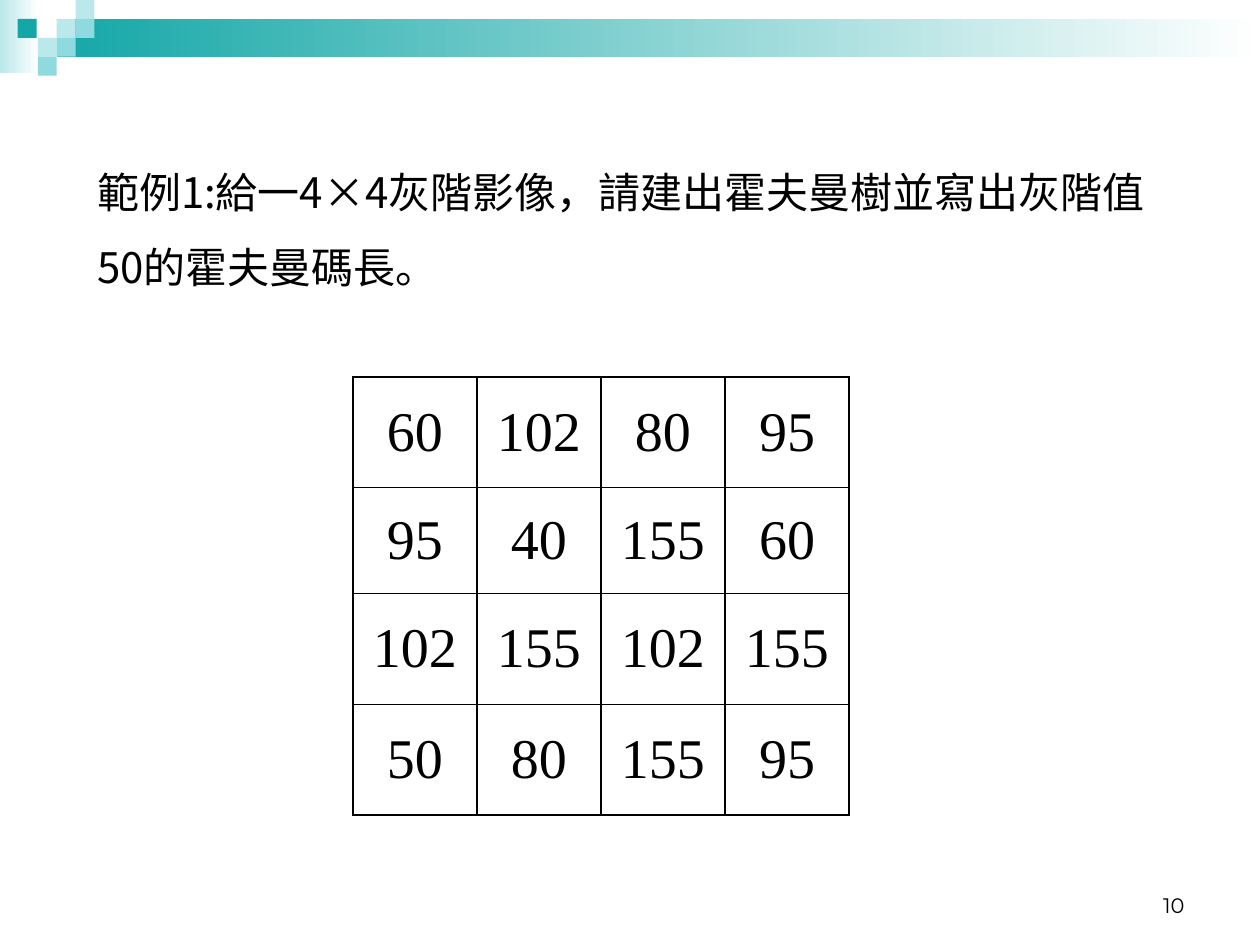
from lxml.etree import SubElement
from pptx import Presentation
from pptx.dml.color import RGBColor
from pptx.enum.shapes import MSO_SHAPE as Shape
from pptx.enum.text import MSO_ANCHOR as Anchor, MSO_AUTO_SIZE as AutoSize, PP_ALIGN as Align
from pptx.oxml.ns import qn
from pptx.util import Inches, Pt

BLACK = RGBColor(0x00, 0x00, 0x00)
WHITE = RGBColor(0xFF, 0xFF, 0xFF)
TEAL = RGBColor(0x15, 0xA7, 0xA7)
AQUA = RGBColor(0x8E, 0xDA, 0xDE)
PALE = RGBColor(0xBB, 0xE8, 0xEB)

SQUARE = 0.15
SQUARES = [
    (0.45, 0.15, PALE), (0.6, 0, PALE), (0.6, 0.15, AQUA), (0.3, 0.3, PALE),
    (0.14, 0.15, TEAL), (0.45, 0.3, AQUA), (0.3, 0.45, AQUA),
]
QUESTION = "範例1:給一4×4灰階影像，請建出霍夫曼樹並寫出灰階值50的霍夫曼碼長。"
GRAY_LEVELS = [
    [60, 102, 80, 95],
    [95, 40, 155, 60],
    [102, 155, 102, 155],
    [50, 80, 155, 95],
]
ROW_HEIGHTS = [0.88, 0.84, 0.88, 0.88]


def write_text(tf, text, size, font, align=Align.LEFT, spacing=None):
    """Write one formatted paragraph into a text frame."""
    p = tf.paragraphs[0]
    p.alignment = align
    p.line_spacing = spacing
    r = p.add_run()
    r.text = text
    r.font.size = Pt(size)
    r.font.name = font
    r.font.color.rgb = BLACK
    SubElement(r.font._element, qn("a:ea"), typeface=font)


def add_block(s, left, top, width, height, color, fade=False):
    """Add a borderless rectangle, solid or fading to white on the right."""
    sp = s.shapes.add_shape(Shape.RECTANGLE, Inches(left), Inches(top), Inches(width), Inches(height))
    sp.shadow.inherit = False
    sp.line.fill.background()
    if fade:
        sp.fill.gradient()
        sp.fill.gradient_angle = 0
        for stop, stop_color in zip(sp.fill.gradient_stops, (color, WHITE)):
            stop.color.rgb = stop_color
    else:
        sp.fill.solid()
        sp.fill.fore_color.rgb = color


def add_banner(s, left, top, width):
    """Draw the fading bands and the mosaic of squares along the top."""
    add_block(s, left, top, 0.31, 0.58, PALE, fade=True)
    add_block(s, left + 0.45, top + 0.15, width - 0.45, 0.3, TEAL, fade=True)
    for x, y, color in SQUARES:
        add_block(s, left + x, top + y, SQUARE, SQUARE, color)


def place_title(s, left, top, width, height):
    """Move the title placeholder and write the question in it."""
    title = s.shapes.title
    title.left, title.top = Inches(left), Inches(top)
    title.width, title.height = Inches(width), Inches(height)
    tf = title.text_frame
    tf.word_wrap = True
    tf.auto_size = AutoSize.NONE
    tf.vertical_anchor = Anchor.MIDDLE
    write_text(tf, QUESTION, 24, "Noto Sans CJK SC", spacing=1.5)


def set_borders(cell):
    """Give a cell thin black lines on all four sides."""
    tc_pr = cell._tc.get_or_add_tcPr()
    for index, side in enumerate(("a:lnL", "a:lnR", "a:lnT", "a:lnB")):
        ln = tc_pr.makeelement(qn(side), {"w": str(Pt(1))})
        fill = SubElement(ln, qn("a:solidFill"))
        SubElement(fill, qn("a:srgbClr"), val=str(BLACK))
        tc_pr.insert(index, ln)


def add_pixel_grid(s, left, top, width, height):
    """Add the table of gray levels."""
    rows, cols = len(GRAY_LEVELS), len(GRAY_LEVELS[0])
    table = s.shapes.add_table(rows, cols, Inches(left), Inches(top), Inches(width), Inches(height)).table
    table.first_row = table.horz_banding = False
    for row, row_height in zip(table.rows, ROW_HEIGHTS):
        row.height = Inches(row_height)
    for i, levels in enumerate(GRAY_LEVELS):
        for j, level in enumerate(levels):
            cell = table.cell(i, j)
            cell.fill.background()
            cell.vertical_anchor = Anchor.MIDDLE
            set_borders(cell)
            write_text(cell.text_frame, str(level), 32, "Times New Roman", align=Align.CENTER)


def add_page_number(s, left, top, width, height):
    """Add the page number at the bottom right."""
    tf = s.shapes.add_textbox(Inches(left), Inches(top), Inches(width), Inches(height)).text_frame
    tf.word_wrap = True
    tf.vertical_anchor = Anchor.BOTTOM
    write_text(tf, "10", 12, "Montserrat", align=Align.RIGHT)


def main():
    """Build the slide and save it."""
    prs = Presentation()
    prs.slide_width, prs.slide_height = Inches(10), Inches(7.5)
    s = prs.slides.add_slide(prs.slide_layouts[5])
    add_banner(s, 0, 0, 10)
    place_title(s, 0.67, 0.84, 8.59, 1.76)
    add_pixel_grid(s, 2.8, 2.99, 3.94, 3.46)
    add_page_number(s, 7.17, 6.83, 2.33, 0.5)
    prs.save("out.pptx")


if __name__ == "__main__":
    main()
